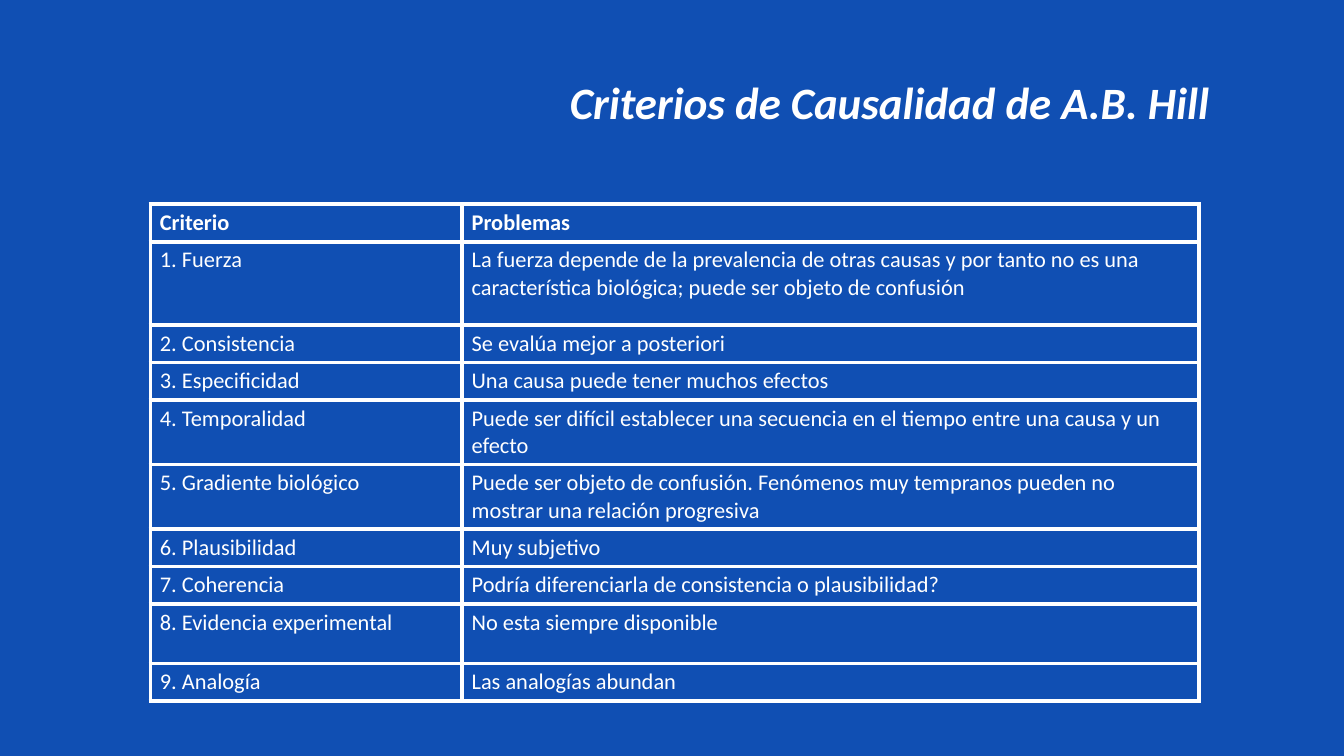
from dataclasses import dataclass

from lxml import etree
from pptx import Presentation
from pptx.dml.color import RGBColor
from pptx.enum.text import MSO_ANCHOR, PP_ALIGN
from pptx.oxml.ns import qn
from pptx.util import Inches, Pt

MIDDLE, TOP = MSO_ANCHOR.MIDDLE, MSO_ANCHOR.TOP
CENTER, LEFT = PP_ALIGN.CENTER, PP_ALIGN.LEFT


@dataclass(frozen=True)
class Theme:
    background: str = "104FB3"
    ink: str = "FFFFFF"
    font: str = "Calibri"
    title_size: float = 24
    table_size: float = 12
    border_width: float = 2.25


THEME = Theme()

# Widescreen, 16:9
SLIDE_WIDTH = Inches(10)
SLIDE_HEIGHT = SLIDE_WIDTH * 9 // 16

TITLE = "Criterios de Causalidad de A.B. Hill"
TITLE_BOX = (3.58, 0.27, 6.08, 0.97)
TABLE_BOX = (1.12, 1.52, 7.8, 3.66)
COLUMN_WIDTHS = (2.32, 5.48)

# Row height, criterion, problem
CRITERIA = [
    (0.27, "Criterio", "Problemas"),
    (0.62, "1. Fuerza",
     "La fuerza depende de la prevalencia de otras causas y por tanto no es una "
     "característica biológica; puede ser objeto de confusión"),
    (0.27, "2. Consistencia", "Se evalúa mejor a posteriori"),
    (0.27, "3. Especificidad", "Una causa puede tener muchos efectos"),
    (0.44, "4. Temporalidad",
     "Puede ser difícil establecer una secuencia en el tiempo entre una causa y un efecto"),
    (0.44, "5. Gradiente biológico",
     "Puede ser objeto de confusión. Fenómenos muy tempranos pueden no "
     "mostrar una relación progresiva"),
    (0.27, "6. Plausibilidad", "Muy subjetivo"),
    (0.28, "7. Coherencia", "Podría diferenciarla de consistencia o plausibilidad?"),
    (0.44, "8. Evidencia experimental", "No esta siempre disponible"),
    (0.27, "9. Analogía", "Las analogías abundan"),
]

CELL_FORMAT = {
    "margin_left": Inches(0.07), "margin_right": Inches(0.07),
    "margin_top": Pt(2.7), "margin_bottom": Pt(2.7),
    "vertical_anchor": TOP,
}


def apply_format(target, values):
    for name, value in values.items():
        setattr(target, name, value)


def write_text(frame, text, align, size, bold=False, italic=False):
    frame.word_wrap = True
    paragraph = frame.paragraphs[0]
    paragraph.alignment = align
    run = paragraph.add_run()
    run.text = text
    apply_format(run.font, {"name": THEME.font, "size": Pt(size),
                            "bold": bold, "italic": italic})
    run.font.color.rgb = RGBColor.from_string(THEME.ink)


def add_borders(cell):
    properties = cell._tc.get_or_add_tcPr()
    # Border lines come before the fill in the cell properties
    for index, side in enumerate(("lnL", "lnR", "lnT", "lnB")):
        line = etree.Element(qn(f"a:{side}"), w=str(Pt(THEME.border_width)))
        fill = etree.SubElement(line, qn("a:solidFill"))
        etree.SubElement(fill, qn("a:srgbClr"), val=THEME.ink)
        properties.insert(index, line)


def place_title(slide, box):
    title = slide.shapes.title
    apply_format(title, dict(zip(("left", "top", "width", "height"), map(Inches, box))))
    title.text_frame.vertical_anchor = MIDDLE
    write_text(title.text_frame, TITLE, CENTER, THEME.title_size, bold=True, italic=True)


def place_criteria_table(slide, box):
    table = slide.shapes.add_table(
        len(CRITERIA), len(COLUMN_WIDTHS), *map(Inches, box)).table
    apply_format(table, {"first_row": False, "horz_banding": False})
    for column, width in zip(table.columns, COLUMN_WIDTHS):
        column.width = Inches(width)

    for row_index, (height, *texts) in enumerate(CRITERIA):
        table.rows[row_index].height = Inches(height)
        for column_index, text in enumerate(texts):
            cell = table.cell(row_index, column_index)
            apply_format(cell, CELL_FORMAT)
            cell.fill.background()
            add_borders(cell)
            write_text(cell.text_frame, text, LEFT, THEME.table_size, bold=row_index == 0)


def main():
    deck = Presentation()
    deck.slide_width, deck.slide_height = SLIDE_WIDTH, SLIDE_HEIGHT
    slide = deck.slides.add_slide(deck.slide_layouts[5])
    slide.background.fill.solid()
    slide.background.fill.fore_color.rgb = RGBColor.from_string(THEME.background)
    place_title(slide, TITLE_BOX)
    place_criteria_table(slide, TABLE_BOX)
    deck.save("out.pptx")


if __name__ == "__main__":
    main()
